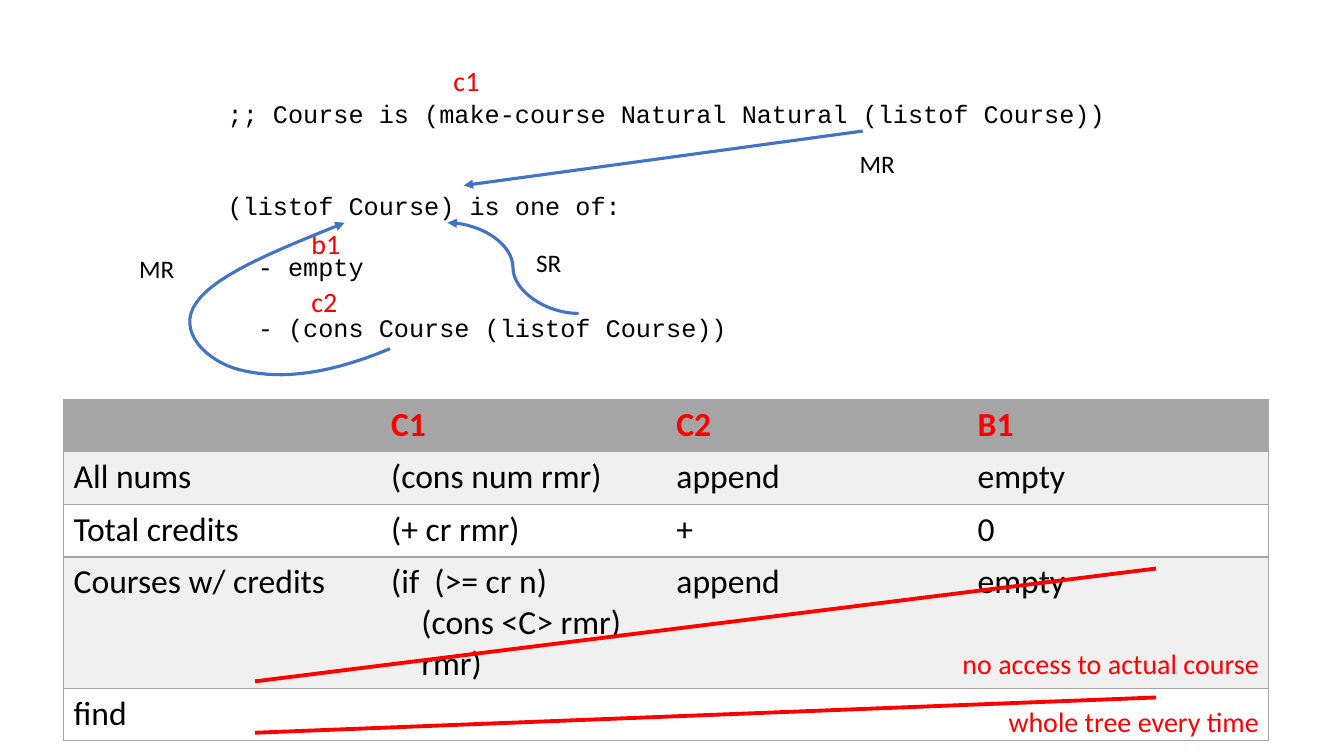
from lxml.etree import SubElement
from pptx import Presentation
from pptx.dml.color import RGBColor
from pptx.enum.shapes import MSO_CONNECTOR as Link
from pptx.enum.text import MSO_AUTO_SIZE as AutoSize, PP_ALIGN as Align
from pptx.oxml.ns import qn
from pptx.util import Pt

COLORS = {"ink": "000000", "mark": "FF0000", "arrow": "4472C4",
          "head": "A5A5A5", "band": "F0F0F0", "plain": "FFFFFF"}
NO_GRID_STYLE = "{2D5ABB26-0587-4C30-8999-92F81FD0307C}"
DIAGRAM_BOX = (90, 40, 727, 232)
TABLE_BOX = (45.4, 285.1, 861, 243.4)

DEFINITION = [(";; Course is (make-course Natural Natural (listof Course))", 0, 0),
              ("(listof Course) is one of:", 44, 0),
              ("- empty", 22, 21.6),
              ("- (cons Course (listof Course))", 22, 21.6)]
REFERENCES = [("MR", 517, 62.2), ("MR", 2.2, 137.1), ("SR", 285.8, 132.8)]
CASES = [("c1", 226.8, 1.8), ("c2", 125.3, 159.4), ("b1", 125.3, 118.4)]
LOOP_START = (188.6, 209.1)
LOOP_CURVES = [((136.8, 230.7), (104.4, 230), (81.4, 224.2)),
               ((58.3, 218.5), (35.3, 196.9), (50.4, 176)),
               ((64.8, 155.1), (113.8, 136.4), (156.2, 119.1))]

COLUMN_WIDTHS = [226.8, 203.8, 215.2, 215.2]
ROW_HEIGHTS = [37.6, 37.6, 37.6, 93, 37.6]
COURSE_ROWS = [["", "C1", "C2", "B1"],
               ["All nums", "(cons num rmr)", "append", "empty"],
               ["Total credits", "(+ cr rmr)", "+", "0"],
               ["Courses w/ credits", [("(if  (>= cr n)", 0, 0), ("(cons <C> rmr)", 0, 21.6),
                                       ("rmr)", 0, 21.6)], "append", "empty"],
               ["find", "", "", ""]]
STRIKES = [(201.6, 121), (238.3, 213.1)]
REMARKS = [("no access to actual course", 172.8), ("whole tree every time", 214.6)]


def rgb(name):
    """Return the palette colour of that name."""
    return RGBColor.from_string(COLORS[name])


def write(frame, text, size=18, font="Calibri", color="ink", bold=False, align=Align.LEFT):
    """Fill a text frame with a string or with (text, space before, indent) lines."""
    lines = [(text, 0, 0)] if isinstance(text, str) else text
    for number, (words, space, indent) in enumerate(lines):
        paragraph = frame.add_paragraph() if number else frame.paragraphs[0]
        paragraph.alignment = align
        paragraph.space_before = Pt(space)
        if indent:
            paragraph._p.get_or_add_pPr().set("marL", str(Pt(indent)))
        paragraph.font.size = Pt(size)
        if words:
            run = paragraph.add_run()
            run.text = words
            run.font.size, run.font.name, run.font.bold = Pt(size), font, bold
            run.font.color.rgb = rgb(color)


def add_label(slide, box, text, **style):
    """Place a wrapping text box."""
    frame = slide.shapes.add_textbox(*map(Pt, box)).text_frame
    frame.word_wrap = True
    frame.auto_size = AutoSize.SHAPE_TO_FIT_TEXT
    write(frame, text, **style)


def style_stroke(stroke, color, width, arrow=False):
    """Colour a line or outline, with an arrowhead at its end if asked."""
    stroke.line.color.rgb = rgb(color)
    stroke.line.width = Pt(width)
    if arrow:
        SubElement(stroke.line._get_or_add_ln(), qn("a:tailEnd"), type="triangle")


def add_link(slide, kind, ends, color, width, arrow=False):
    """Draw a connector without shadow."""
    link = slide.shapes.add_connector(kind, *map(Pt, ends))
    style_stroke(link, color, width, arrow)
    SubElement(link._element.spPr, qn("a:effectLst"))


def curve_points(start, curves, steps=16):
    """Return points along a chain of cubic curves."""
    points = []
    for first, second, end in curves:
        for step in range(1, steps + 1):
            t = step / steps
            u = 1 - t
            points.append(tuple(
                u ** 3 * a + 3 * u * u * t * b + 3 * u * t * t * c + t ** 3 * d
                for a, b, c, d in zip(start, first, second, end)))
        start = end
    return points


def add_diagram(slide, box):
    """Draw the data definition with its reference arrows and case labels."""
    left, top = box[:2]
    add_label(slide, (left + 65.5, top + 27, 661, 181.5), DEFINITION, font="Courier New")
    for kind, x1, y1, x2, y2 in [(Link.STRAIGHT, 526.3, 53.6, 241.2, 92.5),
                                 (Link.CURVE, 323.3, 183.9, 229.7, 119.1)]:
        add_link(slide, kind, (left + x1, top + y1, left + x2, top + y2), "arrow", 2.25, True)
    for text, x, y in REFERENCES:
        add_label(slide, (left + x, top + y, 70, 29), text)
    for text, x, y in CASES:
        add_label(slide, (left + x, top + y, 42.5, 31.5), text, size=20, color="mark")
    outline = slide.shapes.build_freeform(Pt(left + LOOP_START[0]), Pt(top + LOOP_START[1]))
    outline.add_line_segments([(Pt(left + x), Pt(top + y))
                               for x, y in curve_points(LOOP_START, LOOP_CURVES)], close=False)
    loop = outline.convert_to_shape()
    loop.fill.background()
    loop.shadow.inherit = False
    style_stroke(loop, "arrow", 2.25, True)


def border_cell(cell, sides):
    """Rule the given sides of a table cell."""
    properties = cell._tc.get_or_add_tcPr()
    for side in sides:
        rule = SubElement(properties, qn("a:ln" + side), w=str(Pt(1)))
        fill = SubElement(rule, qn("a:solidFill"))
        SubElement(fill, qn("a:srgbClr"), val=COLORS["head"])


def add_course_table(slide, box):
    """Draw the table of functions with its strikes and remarks."""
    left, top, width, _ = box
    frame = slide.shapes.add_table(len(ROW_HEIGHTS), len(COLUMN_WIDTHS), *map(Pt, box))
    table = frame.table
    table._tbl.tblPr.find(qn("a:tableStyleId")).text = NO_GRID_STYLE
    for column, column_width in zip(table.columns, COLUMN_WIDTHS):
        column.width = Pt(column_width)
    last = len(COLUMN_WIDTHS) - 1
    for r, entries in enumerate(COURSE_ROWS):
        table.rows[r].height = Pt(ROW_HEIGHTS[r])
        shade = "head" if r == 0 else "band" if r % 2 else "plain"
        for c, entry in enumerate(entries):
            cell = table.cell(r, c)
            border_cell(cell, "L" * (c == 0) + "R" * (c == last) + "TB")
            cell.fill.solid()
            cell.fill.fore_color.rgb = rgb(shade)
            write(cell.text_frame, entry, size=24, bold=r == 0,
                  color="ink" if r else "mark")
    for y1, y2 in STRIKES:
        add_link(slide, Link.STRAIGHT, (left + 136.8, top + y1, left + 780.4, top + y2),
                 "mark", 2.75)
    for text, y in REMARKS:
        add_label(slide, (left + width - 344, top + y, 344, 31.5), text,
                  size=20, color="mark", align=Align.RIGHT)


def main():
    """Build and save the slide."""
    deck = Presentation()
    deck.slide_width, deck.slide_height = Pt(960), Pt(540)
    slide = deck.slides.add_slide(deck.slide_layouts[6])
    add_diagram(slide, DIAGRAM_BOX)
    add_course_table(slide, TABLE_BOX)
    deck.save("out.pptx")


if __name__ == "__main__":
    main()
